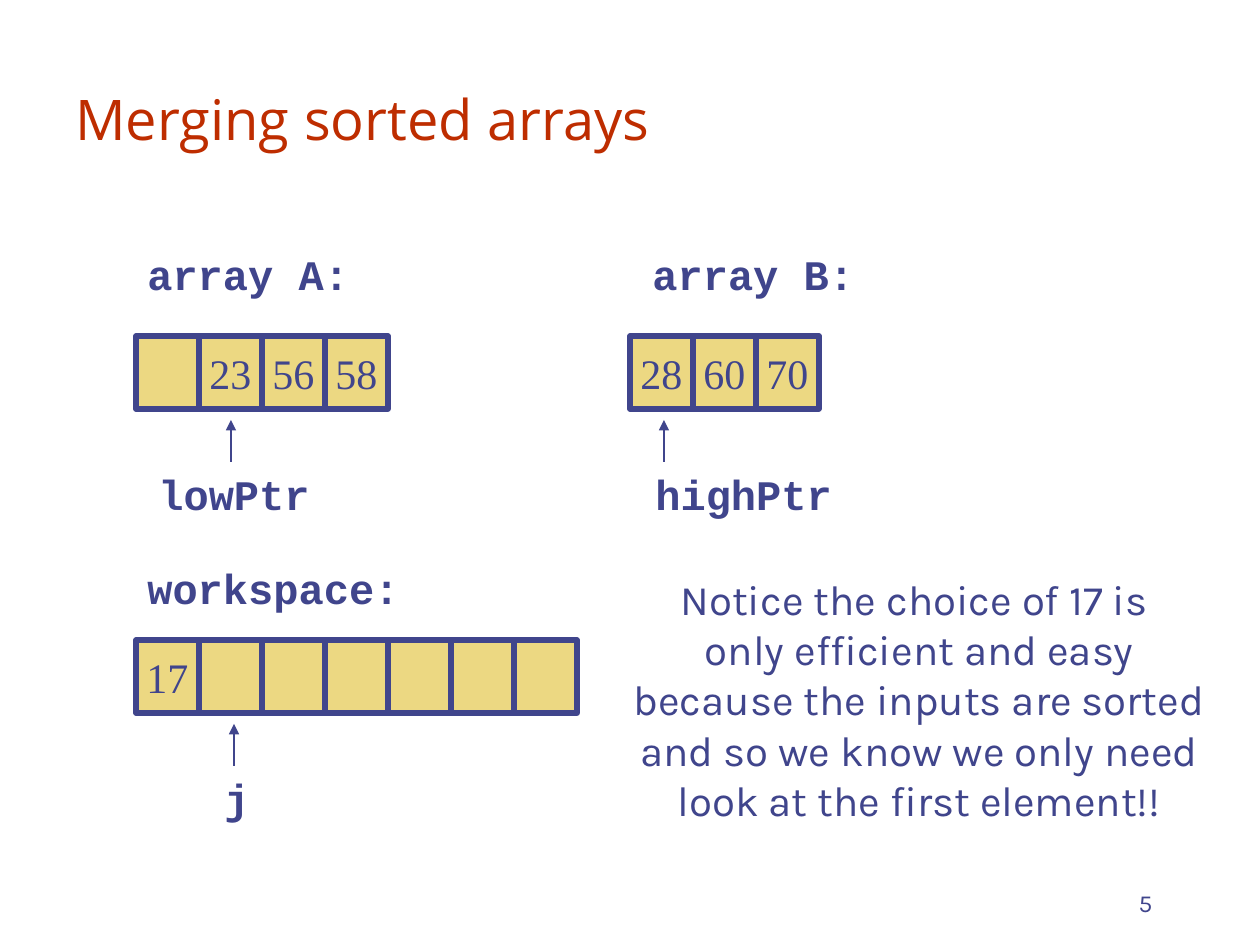
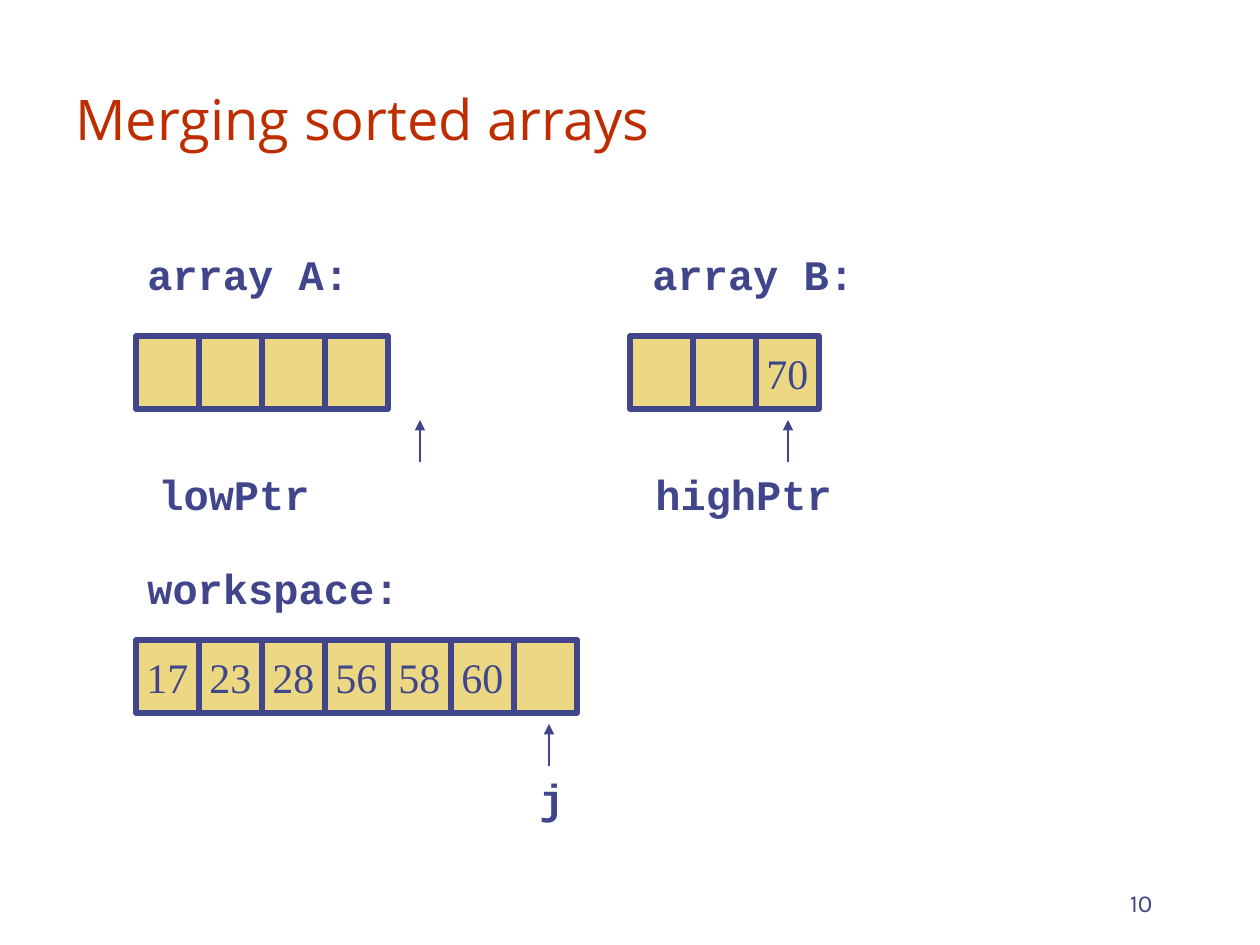
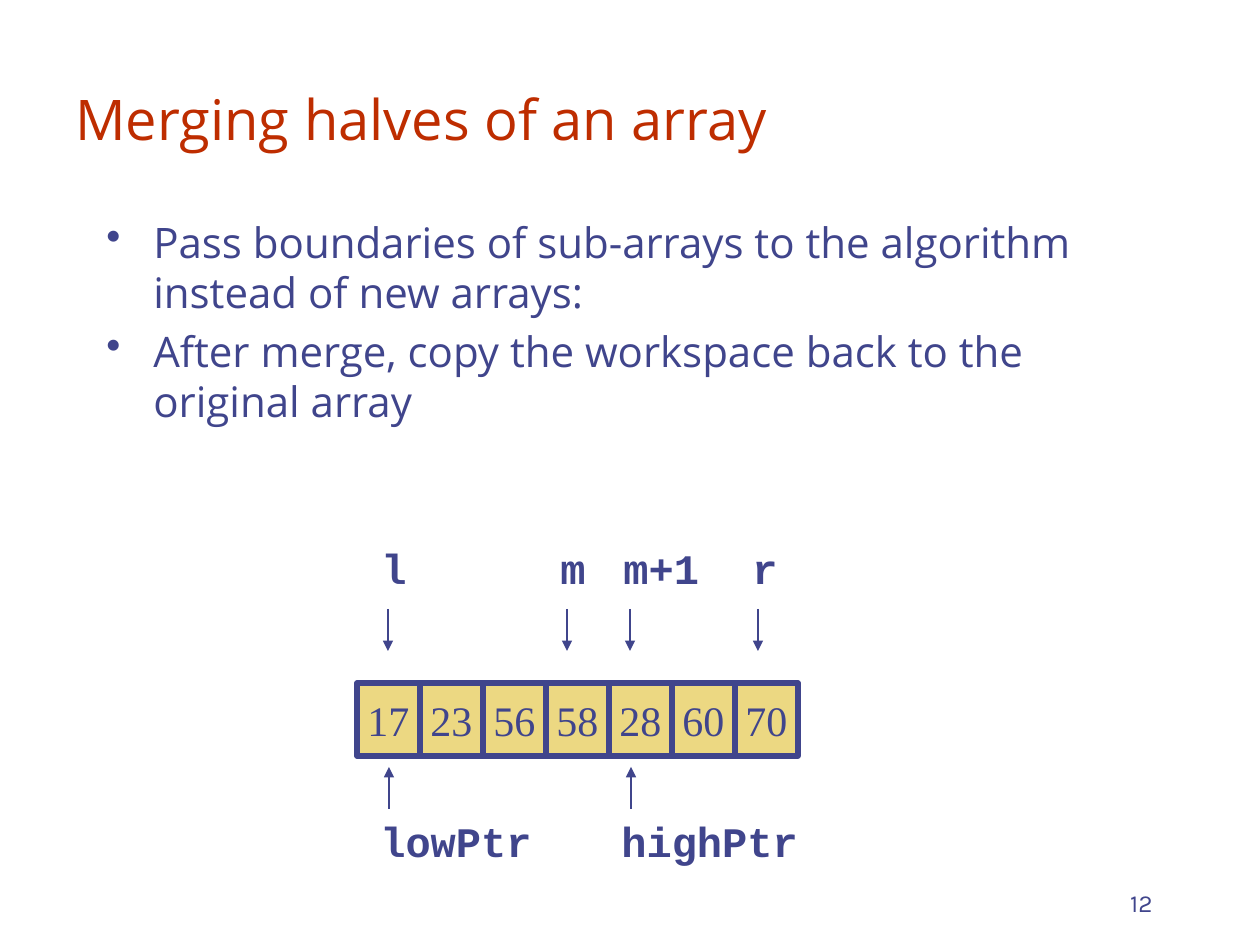
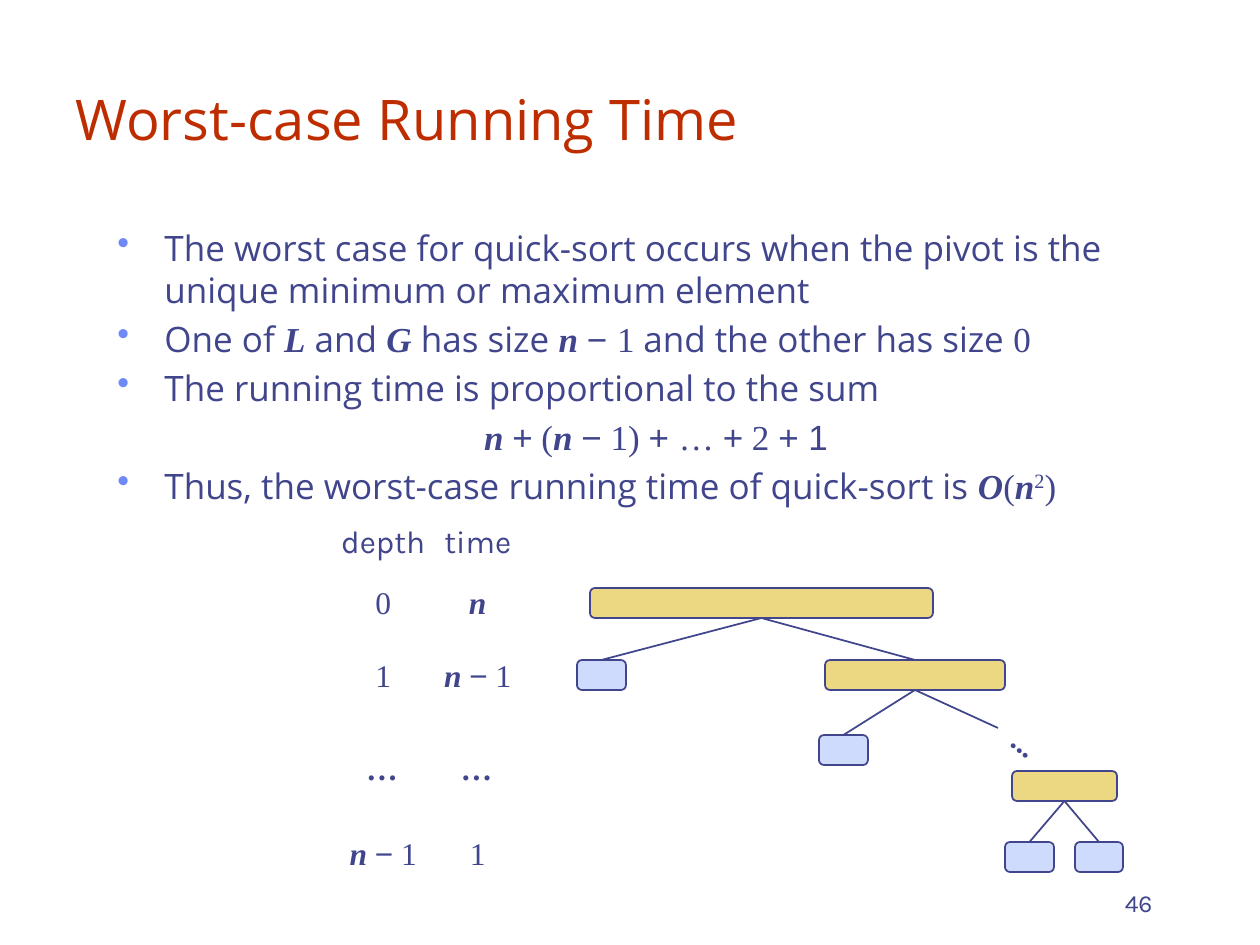
from lxml import etree
from pptx import Presentation
from pptx.dml.color import RGBColor
from pptx.enum import shapes, text
from pptx.oxml.ns import qn
from pptx.util import Emu, Pt

# ---- Shared style ----
COLORS = {"ink": "40458C", "title": "BE2D00", "cell": "ECD882", "leaf": "CFDBFD", "bullet": "6F89F7"}
FONTS = {"title": "Open Sans", "body": "Open Sans", "note": "Karla", "code": "Courier New",
         "number": "Times New Roman", "variable": "Times New Roman", "power": "Times New Roman", "sign": "Arial"}
PX = 914400 / 126
CELL_WIDTH, CELL_HEIGHT = 63, 73
ARROW_LENGTH, NODE_HEIGHT = 42, 30
HANGING = 47
LEFT, CENTER, RIGHT = text.PP_ALIGN.LEFT, text.PP_ALIGN.CENTER, text.PP_ALIGN.RIGHT

# ---- Content: arrays; a pointer is (label, label x, arrow x) ----
MERGE_SLIDES = [
    {"number": 5, "title": "Merging sorted arrays", "arrays": [
        {"name": ("array A:", 135, 242), "at": (136, 336), "values": ["", 23, 56, 58],
         "below": [("lowPtr", 146, 231)]},
        {"name": ("array B:", 640, 242), "at": (630, 336), "values": [28, 60, 70],
         "below": [("highPtr", 643, 664)]},
        {"name": ("workspace:", 135, 556), "at": (136, 640), "values": [17] + [""] * 6,
         "below": [("j", 212, 234)]}],
     "note": "Notice the choice of 17 is \vonly efficient and easy because the inputs are sorted "
             "and so we know we only need look at the first element!!"},
    {"number": 10, "title": "Merging sorted arrays", "arrays": [
        {"name": ("array A:", 135, 242), "at": (136, 336), "values": [""] * 4,
         "below": [("lowPtr", 146, 420)]},
        {"name": ("array B:", 640, 242), "at": (630, 336), "values": ["", "", 70],
         "below": [("highPtr", 643, 788)]},
        {"name": ("workspace:", 135, 556), "at": (136, 640), "values": [17, 23, 28, 56, 58, 60, ""],
         "below": [("j", 527, 549)]}]},
    {"number": 12, "title": "Merging halves of an array", "arrays": [
        {"at": (357, 683), "values": [17, 23, 56, 58, 28, 60, 70],
         "above": [("l", 369, 388), ("m", 548, 567), ("m+1", 611, 630), ("r", 740, 758)],
         "below": [("lowPtr", 368, 389), ("highPtr", 609, 631)]}],
     "bullets": ["Pass boundaries of sub-arrays to the algorithm instead of new arrays:",
                 "After merge, copy the workspace back to the original array"]},
]

# ---- Content: running time; mixed text is a list of (text, style) ----
WORST_CASE = [
    "The worst case for quick-sort occurs when the pivot is the unique minimum or maximum element",
    [("One of ", "body"), ("L", "variable"), (" and ", "body"), ("G", "variable"), (" has size ", "body"),
     ("n ", "variable"), ("− ", "sign"), ("1 ", "number"), ("and the other has size ", "body"), ("0", "number")],
    "The running time is proportional to the sum",
    [("n ", "variable"), ("+", "sign"), (" (", "number"), ("n ", "variable"), ("−", "sign"), (" 1) ", "number"),
     ("+ ", "sign"), ("… ", "number"), ("+", "sign"), (" 2 ", "number"), ("+ 1", "sign")],
    [("Thus, the worst-case running time of quick-sort is ", "body"), ("O", "variable"), ("(", "number"),
     ("n", "variable"), ("2", "power"), (")", "number")],
]
SUM_LINE = 3
N_MINUS_1 = [("n ", "variable"), ("−", "sign"), (" 1", "number")]
DOTS = [("…", "variable")]
DEPTH_TABLE = [
    (43, "depth", "time"),
    (71, "0", [("n", "variable")]),
    (76, "1", N_MINUS_1),
    (110, DOTS, DOTS),
    (59, N_MINUS_1, "1"),
]
NODES = {  # left, top, width, colour
    "root": (590, 588, 343, "cell"),
    "root small": (577, 660, 49, "leaf"),
    "second": (825, 660, 180, "cell"),
    "second small": (819, 735, 49, "leaf"),
    "last": (1012, 771, 105, "cell"),
    "last left": (1005, 842, 49, "leaf"),
    "last right": (1075, 842, 48, "leaf"),
}
EDGES = [("root", "root small"), ("root", "second"), ("second", "second small"), ("second", None),
         ("last", "last left"), ("last", "last right")]
OPEN_EDGE_END = (998, 728)


# ---- Helpers ----
def px(*lengths):
    return [Emu(round(length * PX)) for length in lengths]


def color(name):
    return RGBColor.from_string(COLORS[name])


def style_font(font, style, size, ink="ink"):
    font.name, font.size = FONTS[style], Pt(size)
    font.color.rgb = color(ink)
    if style == "code":
        font.bold = True
    if style == "variable":
        font.bold = font.italic = True


def write(paragraph, content, style, size, align=LEFT, ink="ink"):
    paragraph.alignment = align
    if isinstance(content, str):
        paragraph.text = content
        style_font(paragraph.font, style, size, ink)
        return
    for words, run_style in content:
        run = paragraph.add_run()
        run.text = words
        style_font(run.font, run_style, size, ink)
        if run_style == "power":
            run._r.get_or_add_rPr().set("baseline", "30000")


def add_text(slide, box, content, style, size, align=LEFT, ink="ink", anchor=text.MSO_ANCHOR.TOP, wrap=True):
    shape = slide.shapes.add_textbox(*px(*box))
    frame = shape.text_frame
    frame.word_wrap, frame.vertical_anchor = wrap, anchor
    write(frame.paragraphs[0], content, style, size, align, ink)
    return shape


def add_code(slide, label, x, y):
    width = round(25.2 * (len(label) + 1))
    add_text(slide, (x, y, width, 63), label, "code", 24, wrap=False)


def add_line(slide, start, end, width=1.0, arrow=False):
    line = slide.shapes.add_connector(shapes.MSO_CONNECTOR.STRAIGHT, *px(*start, *end))
    line.line.color.rgb, line.line.width = color("ink"), Pt(width)
    properties = line._element.spPr
    if arrow:
        etree.SubElement(properties.find(qn("a:ln")), qn("a:tailEnd"), type="triangle")
    etree.SubElement(properties, qn("a:effectLst"))
    return line


def add_box(slide, kind, box, fill, line_width):
    shape = slide.shapes.add_shape(kind, *px(*box))
    shape.shadow.inherit = False
    shape.fill.solid()
    shape.fill.fore_color.rgb = color(fill)
    shape.line.color.rgb, shape.line.width = color("ink"), Pt(line_width)
    return shape


def add_bullet(paragraph, ink):
    properties = paragraph._p.get_or_add_pPr()
    bullet_color = etree.SubElement(properties, qn("a:buClr"))
    etree.SubElement(bullet_color, qn("a:srgbClr"), val=COLORS[ink])
    etree.SubElement(properties, qn("a:buChar"), char="•")


def add_bullets(slide, box, items, size, bullet_ink, plain=None):
    frame = slide.shapes.add_textbox(*px(*box)).text_frame
    frame.word_wrap = True
    for index, item in enumerate(items):
        paragraph = frame.add_paragraph() if index else frame.paragraphs[0]
        properties = paragraph._p.get_or_add_pPr()
        hanging = px(HANGING)[0]
        properties.set("marL", str(hanging))
        properties.set("indent", str(-hanging))
        if index != plain:
            add_bullet(paragraph, bullet_ink)
        paragraph.space_before = Pt(size / 5)
        write(paragraph, item, "body", size, CENTER if index == plain else LEFT)


def add_slide(presentation, title, number):
    slide = presentation.slides.add_slide(presentation.slide_layouts[6])
    bottom = text.MSO_ANCHOR.BOTTOM
    add_text(slide, (903, 861, 262, 63), str(number), "note", 14, RIGHT, anchor=bottom)
    add_text(slide, (63, 42, 1092, 116), title, "title", 32, ink="title", anchor=bottom)
    return slide


# ---- Arrays with pointers ----
def add_array(slide, array):
    left, top = array["at"]
    for index, value in enumerate(array["values"]):
        box = (left + index * CELL_WIDTH, top, CELL_WIDTH, CELL_HEIGHT)
        cell = add_box(slide, shapes.MSO_SHAPE.RECTANGLE, box, "cell", 3)
        cell.text_frame.word_wrap = False
        if value:
            write(cell.text_frame.paragraphs[0], str(value), "number", 24, CENTER)
    if "name" in array:
        add_code(slide, *array["name"])
    tip = top + CELL_HEIGHT + 11
    for label, label_x, x in array["below"]:
        add_code(slide, label, label_x, tip + ARROW_LENGTH)
        add_line(slide, (x, tip + ARROW_LENGTH), (x, tip), 0.75, arrow=True)
    tip = top - 32
    for label, label_x, x in array.get("above", []):
        add_code(slide, label, label_x, top - 147)
        add_line(slide, (x, tip - ARROW_LENGTH), (x, tip), 0.75, arrow=True)


def add_merge_slide(presentation, content):
    slide = add_slide(presentation, content["title"], content["number"])
    for array in content["arrays"]:
        add_array(slide, array)
    if "note" in content:
        add_text(slide, (620, 567, 598, 265), content["note"], "note", 24, CENTER)
    if "bullets" in content:
        add_bullets(slide, (94, 210, 1071, 567), content["bullets"], 24, "ink")


# ---- Running time: table and recursion tree ----
def add_depth_table(slide):
    height = sum(row[0] for row in DEPTH_TABLE)
    table = slide.shapes.add_table(len(DEPTH_TABLE), 2, *px(336, 525, 189, height)).table
    table.first_row = table.horz_banding = False
    for row_index, (row_height, *contents) in enumerate(DEPTH_TABLE):
        table.rows[row_index].height = px(row_height)[0]
        for column_index, content in enumerate(contents):
            cell = table.cell(row_index, column_index)
            cell.fill.background()
            cell.margin_left = cell.margin_right = cell.margin_top = cell.margin_bottom = 0
            cell.vertical_anchor = text.MSO_ANCHOR.MIDDLE if row_index else text.MSO_ANCHOR.TOP
            write(cell.text_frame.paragraphs[0], content, "number" if row_index else "note", 18, CENTER)


def add_tree(slide):
    nodes = {name: add_box(slide, shapes.MSO_SHAPE.ROUNDED_RECTANGLE, (left, top, width, NODE_HEIGHT), fill, 1)
             for name, (left, top, width, fill) in NODES.items()}
    for parent, child in EDGES:
        edge = add_line(slide, OPEN_EDGE_END, OPEN_EDGE_END)
        edge.begin_connect(nodes[parent], 2)
        if child:
            edge.end_connect(nodes[child], 0)
    dots = add_text(slide, (999, 708, 59, 63), "…", "note", 24, CENTER, wrap=False)
    dots.rotation = 38.4


def add_running_time_slide(presentation):
    slide = add_slide(presentation, "Worst-case Running Time", 46)
    add_bullets(slide, (105, 220, 1102, 315), WORST_CASE, 20, "bullet", plain=SUM_LINE)
    add_depth_table(slide)
    add_tree(slide)


def main():
    presentation = Presentation()
    presentation.slide_width, presentation.slide_height = px(1260, 945)
    for content in MERGE_SLIDES:
        add_merge_slide(presentation, content)
    add_running_time_slide(presentation)
    presentation.save("out.pptx")


if __name__ == "__main__":
    main()
